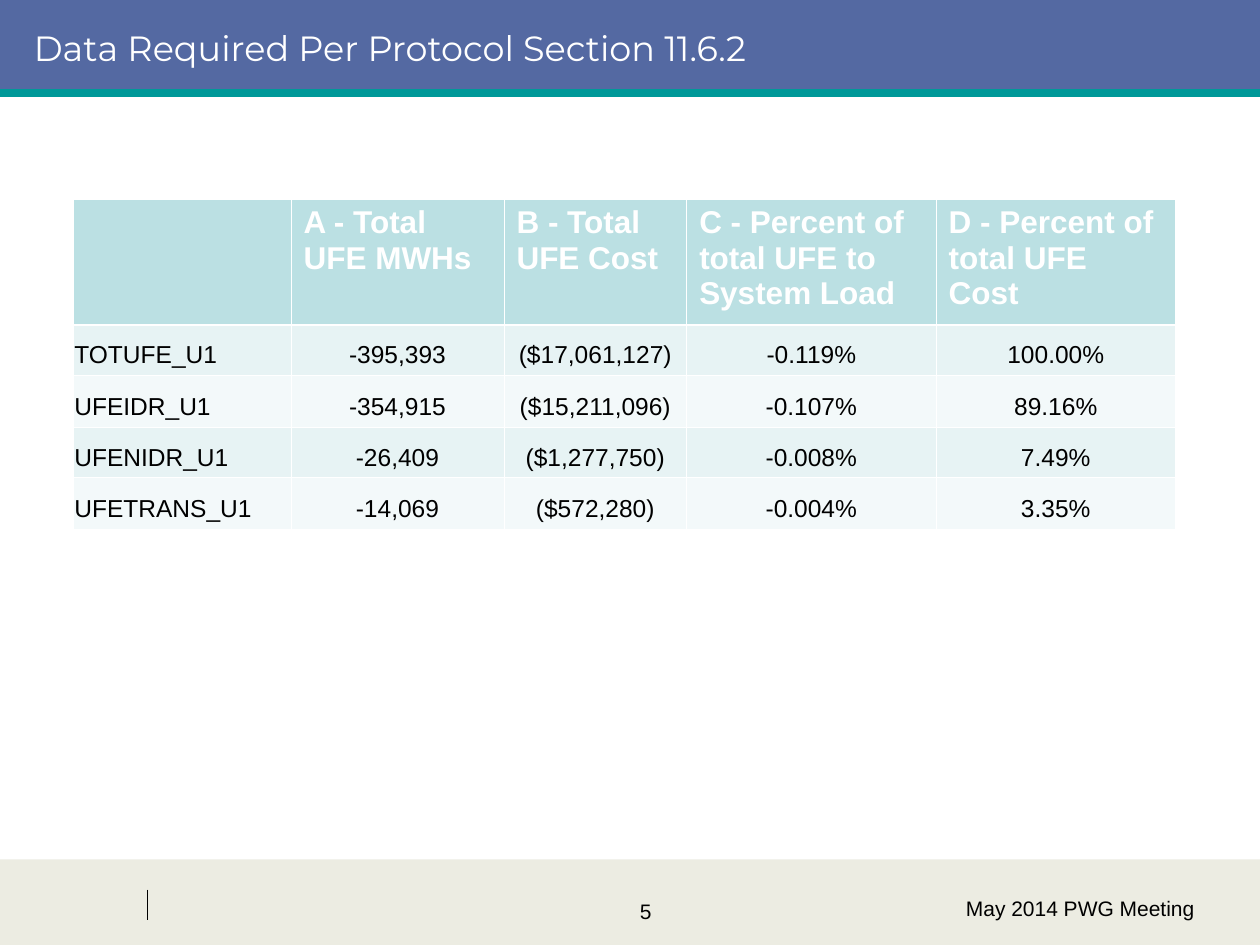
from dataclasses import dataclass

from lxml.etree import SubElement
from pptx import Presentation
from pptx.dml.color import RGBColor
from pptx.enum.shapes import MSO_CONNECTOR, MSO_SHAPE
from pptx.enum.text import MSO_ANCHOR as Anchor, PP_ALIGN as Align
from pptx.oxml.ns import qn
from pptx.util import Inches, Pt


@dataclass(frozen=True)
class Theme:
    white: str = "FFFFFF"
    black: str = "000000"
    title_band: str = "5469A2"
    footer_band: str = "ECECE2"
    accent: str = "009999"
    header_fill: str = "BBE0E3"
    row_fills: tuple = ("E7F3F4", "F3F9FA")
    title_font: str = "Montserrat"
    body_font: str = "Arial"
    title_size: int = 20
    header_size: int = 18
    body_size: int = 14
    footer_size: int = 12
    grid_width: float = 0.45
    header_rule_width: float = 1.47


@dataclass(frozen=True)
class Band:
    top: float
    height: float
    color: str


@dataclass(frozen=True)
class Rule:
    start: tuple
    end: tuple
    color: str
    width: float


@dataclass(frozen=True)
class Style:
    size: int
    color: str
    font: str = "Arial"
    bold: bool = False
    align: Align = Align.LEFT
    anchor: Anchor = Anchor.TOP


@dataclass(frozen=True)
class Label:
    text: str
    left: float
    top: float
    width: float
    height: float
    style: Style


THEME = Theme()
PAGE_WIDTH, PAGE_HEIGHT = 10, 7.5

BANDS = (
    Band(6.82, 0.68, THEME.footer_band),
    Band(0, 0.75, THEME.title_band),
)
RULES = (
    Rule((1.17, 7.06), (1.17, 7.3), THEME.black, 0.75),
    Rule((0, 0.74), (PAGE_WIDTH, 0.74), THEME.accent, 4.5),
)
LABELS = (
    Label("5", 3.75, 7.08, 2.75, 0.5,
          Style(THEME.footer_size, THEME.black, align=Align.CENTER)),
    Label("Data Required Per Protocol Section 11.6.2", 0.17, 0, 9.5, 0.75,
          Style(THEME.title_size, THEME.white, THEME.title_font, anchor=Anchor.MIDDLE)),
    Label("May 2014 PWG Meeting", 6.83, 7.06, 2.75, 0.5,
          Style(THEME.footer_size, THEME.black, align=Align.RIGHT)),
)

TABLE_LEFT, TABLE_TOP = 0.58, 1.58
COLUMN_WIDTHS = (1.73, 1.69, 1.45, 1.98, 1.9)
ROW_HEIGHTS = (1, 0.4, 0.41, 0.4, 0.41)
UFE_ROWS = (
    ("", "A - Total UFE MWHs", "B - Total UFE Cost",
     "C - Percent of total UFE to System Load", "D - Percent of total UFE Cost"),
    ("TOTUFE_U1", "-395,393", "($17,061,127)", "-0.119%", "100.00%"),
    ("UFEIDR_U1", "-354,915", "($15,211,096)", "-0.107%", "89.16%"),
    ("UFENIDR_U1", "-26,409", "($1,277,750)", "-0.008%", "7.49%"),
    ("UFETRANS_U1", "-14,069", "($572,280)", "-0.004%", "3.35%"),
)


def rgb(color: str) -> RGBColor:
    return RGBColor.from_string(color)


def write(frame, text: str, style: Style) -> None:
    frame.word_wrap = True
    para = frame.paragraphs[0]
    para.alignment = style.align
    para.font.size = Pt(style.size)
    if text:
        span = para.add_run()
        span.text = text
        span.font.name = style.font
        span.font.size = Pt(style.size)
        span.font.bold = style.bold
        span.font.color.rgb = rgb(style.color)


def draw_band(page, band: Band) -> None:
    box = page.shapes.add_shape(MSO_SHAPE.RECTANGLE, 0, Inches(band.top),
                                Inches(PAGE_WIDTH), Inches(band.height))
    box.shadow.inherit = False
    box.fill.solid()
    box.fill.fore_color.rgb = rgb(band.color)
    box.line.fill.background()


def draw_rule(page, rule: Rule) -> None:
    ends = [Inches(value) for value in (*rule.start, *rule.end)]
    line = page.shapes.add_connector(MSO_CONNECTOR.STRAIGHT, *ends)
    line.line.color.rgb = rgb(rule.color)
    line.line.width = Pt(rule.width)
    SubElement(line._element.spPr, qn("a:effectLst"))


def draw_label(page, label: Label) -> None:
    box = page.shapes.add_textbox(Inches(label.left), Inches(label.top),
                                  Inches(label.width), Inches(label.height))
    box.text_frame.vertical_anchor = label.style.anchor
    write(box.text_frame, label.text, label.style)


def set_borders(cell, widths: dict) -> None:
    """Put white borders before the fill, as the schema orders them."""
    properties = cell._tc.get_or_add_tcPr()
    for index, (side, width) in enumerate(widths.items()):
        border = SubElement(properties, qn(f"a:{side}"), w=str(Pt(width)))
        fill = SubElement(border, qn("a:solidFill"))
        SubElement(fill, qn("a:srgbClr"), val=THEME.white)
        properties.insert(index, border)


def draw_cell(cell, text: str, row: int, column: int) -> None:
    if row == 0:
        style = Style(THEME.header_size, THEME.white, bold=True)
        color, side_margin = THEME.header_fill, 0.1
    else:
        align = Align.CENTER if column else Align.LEFT
        style = Style(THEME.body_size, THEME.black, align=align, anchor=Anchor.BOTTOM)
        color, side_margin = THEME.row_fills[(row - 1) % 2], 0.01
    cell.margin_left = cell.margin_right = Inches(side_margin)
    cell.margin_top = cell.margin_bottom = Inches(0.05)
    cell.vertical_anchor = style.anchor
    cell.fill.solid()
    cell.fill.fore_color.rgb = rgb(color)
    widths = dict.fromkeys(("lnL", "lnR", "lnT", "lnB"), THEME.grid_width)
    if row < 2:
        widths["lnT" if row else "lnB"] = THEME.header_rule_width
    set_borders(cell, widths)
    write(cell.text_frame, text, style)


def draw_table(page) -> None:
    table = page.shapes.add_table(
        len(ROW_HEIGHTS), len(COLUMN_WIDTHS), Inches(TABLE_LEFT), Inches(TABLE_TOP),
        Inches(sum(COLUMN_WIDTHS)), Inches(sum(ROW_HEIGHTS))).table
    for column, width in zip(table.columns, COLUMN_WIDTHS):
        column.width = Inches(width)
    for row, height in zip(table.rows, ROW_HEIGHTS):
        row.height = Inches(height)
    for row, texts in enumerate(UFE_ROWS):
        for column, text in enumerate(texts):
            draw_cell(table.cell(row, column), text, row, column)


def main() -> None:
    deck = Presentation()
    deck.slide_width, deck.slide_height = Inches(PAGE_WIDTH), Inches(PAGE_HEIGHT)
    page = deck.slides.add_slide(deck.slide_layouts[6])
    for band in BANDS:
        draw_band(page, band)
    for rule in RULES:
        draw_rule(page, rule)
    for label in LABELS:
        draw_label(page, label)
    draw_table(page)
    deck.save("out.pptx")


if __name__ == "__main__":
    main()
